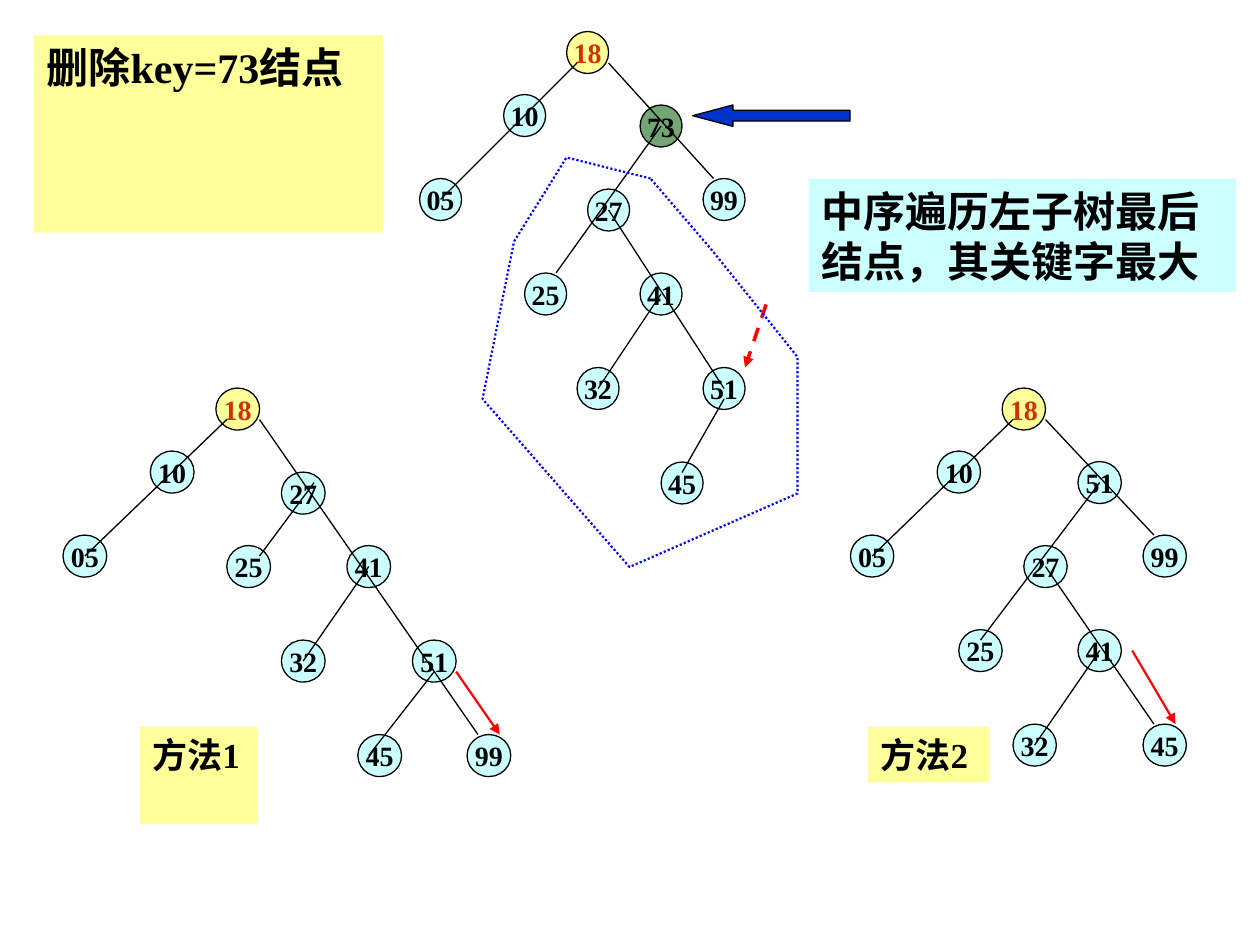
from pptx import Presentation
from pptx.dml.color import RGBColor
from pptx.enum.dml import MSO_LINE
from pptx.enum.shapes import MSO_CONNECTOR, MSO_SHAPE
from pptx.enum.text import MSO_ANCHOR, MSO_AUTO_SIZE, PP_ALIGN
from pptx.oxml.ns import qn
from pptx.util import Inches, Pt
from lxml.etree import SubElement

COLORS = {
    "black": "000000", "root_text": "CC3300", "yellow": "FFFF99", "cyan": "CCFFFF",
    "deleted": "74A574", "pointer": "0033CC", "red": "FF0000", "outline": "0000FF",
}
FONT = "Times New Roman"
ROW = Inches(1) / 12
NODE_CELLS = 4

BEFORE = {
    "nodes": {"18": (14, 0), "10": (8, 6), "05": (0, 14), "73": (21, 7), "27": (16, 15),
              "25": (10, 23), "99": (27, 14), "41": (21, 23), "32": (15, 32),
              "51": (27, 32), "45": (23, 41)},
    "edges": [((15, 3), (2, 16)), ((18, 3), (28, 14)), ((23, 9), (13, 23)),
              ((18, 17), (29, 34)), ((23, 25), (17, 34)), ((29, 35), (25, 42))],
    "arrow": ((33, 26), (31, 32)),
}
METHOD_1 = {
    "nodes": {"18": (14, 0), "10": (8, 6), "05": (0, 14), "27": (20, 8), "25": (15, 15),
              "99": (37, 33), "41": (26, 15), "32": (20, 24), "51": (32, 24),
              "45": (27, 33)},
    "edges": [((15, 3), (2, 16)), ((23, 9), (18, 16)), ((18, 3), (38, 33)),
              ((28, 17), (22, 26)), ((34, 27), (28, 35))],
    "arrow": ((36, 27), (40, 33)),
}
METHOD_2 = {
    "nodes": {"18": (14, 0), "10": (8, 6), "05": (0, 14), "27": (16, 15), "25": (10, 23),
              "99": (27, 14), "41": (21, 23), "32": (15, 32), "51": (21, 7),
              "45": (27, 32)},
    "edges": [((15, 3), (2, 16)), ((18, 3), (28, 14)), ((23, 9), (12, 24)),
              ((18, 17), (28, 32)), ((23, 25), (17, 34))],
    "arrow": ((26, 25), (30, 32)),
}
LEFT_SUBTREE = [(22, 14), (14, 12), (9, 20), (6, 35), (20, 51), (36, 44), (36, 31), (28, 21)]


def rgb(name):
    """Return the named colour."""
    return RGBColor.from_string(COLORS[name])


def paint(shape, fill):
    """Give a shape a plain fill and a thin black line."""
    shape.shadow.inherit = False
    shape.fill.solid()
    shape.fill.fore_color.rgb = rgb(fill)
    shape.line.color.rgb = rgb("black")
    shape.line.width = Pt(0.75)


def write(shape, text, size, color="black", align=PP_ALIGN.LEFT):
    """Set bold text in a shape."""
    shape.text_frame.text = text
    paragraph = shape.text_frame.paragraphs[0]
    paragraph.alignment = align
    font = paragraph.runs[0].font
    font.name, font.size, font.bold = FONT, Pt(size), True
    font.color.rgb = rgb(color)


def grid(left, top, column):
    """Return a function that turns grid cells into slide positions."""
    return lambda cell: (round(left + cell[0] * column), round(top + cell[1] * ROW))


def add_line(shapes, start, end, color="black", width=0.75, head=False):
    """Draw a straight line, with an arrowhead if asked."""
    connector = shapes.add_connector(MSO_CONNECTOR.STRAIGHT, *start, *end)
    connector.line.color.rgb = rgb(color)
    connector.line.width = Pt(width)
    if head:
        SubElement(connector.line._get_or_add_ln(), qn("a:tailEnd"), type="triangle")
    SubElement(connector._element.spPr, qn("a:effectLst"))
    return connector


def add_node(shapes, key, position, column):
    """Draw one key of a tree."""
    node = shapes.add_shape(MSO_SHAPE.OVAL, *position,
                            round(NODE_CELLS * column), round(NODE_CELLS * ROW))
    paint(node, {"18": "yellow", "73": "deleted"}.get(key, "cyan"))
    node.text_frame.word_wrap = False
    node.text_frame.vertical_anchor = MSO_ANCHOR.MIDDLE
    write(node, key, 16, "root_text" if key == "18" else "black", PP_ALIGN.CENTER)


def add_tree(shapes, tree, left, top, column, arrow_width=1.25):
    """Draw a tree on its grid and return its red arrow."""
    place = grid(left, top, column)
    for key, cell in tree["nodes"].items():
        add_node(shapes, key, place(cell), column)
    for start, end in tree["edges"]:
        add_line(shapes, place(start), place(end))
    start, end = tree["arrow"]
    return add_line(shapes, place(start), place(end), "red", arrow_width, True)


def fill_label(label, text, box, fill, size, wrap=True):
    """Place and format a filled label in its box."""
    label.left, label.top, label.width, label.height = box
    label.fill.solid()
    label.fill.fore_color.rgb = rgb(fill)
    frame = label.text_frame
    frame.word_wrap = wrap
    frame.auto_size = MSO_AUTO_SIZE.SHAPE_TO_FIT_TEXT
    frame.vertical_anchor = MSO_ANCHOR.TOP
    write(label, text, size)


def add_label(shapes, text, box, fill, size, wrap=True):
    """Add a filled label."""
    fill_label(shapes.add_textbox(*box), text, box, fill, size, wrap)


def add_before(shapes, left, top):
    """Draw the tree before deletion with its pointers and left subtree."""
    arrow = add_tree(shapes, BEFORE, left, top, ROW, 2)
    arrow.line.dash_style = MSO_LINE.DASH

    pointer = shapes.add_shape(MSO_SHAPE.LEFT_ARROW, *grid(left, top, ROW)((26, 7)),
                               Inches(1.25), Inches(0.17))
    pointer.adjustments[1] = 1.88
    paint(pointer, "pointer")

    first, *others = map(grid(left, top, ROW), LEFT_SUBTREE)
    builder = shapes.build_freeform(*first)
    builder.add_line_segments(others, close=True)
    outline = builder.convert_to_shape()
    outline.shadow.inherit = False
    outline.fill.background()
    outline.line.color.rgb = rgb("outline")
    outline.line.width = Pt(1.25)
    outline.line.dash_style = MSO_LINE.ROUND_DOT


def add_method(shapes, tree, box, column, label, label_box, wrap):
    """Draw the result of one method as a group with its label."""
    group = shapes.add_group_shape()
    add_tree(group.shapes, tree, *box, column)
    add_label(group.shapes, label, label_box, "yellow", 20, wrap)


def main():
    """Build the slide."""
    presentation = Presentation()
    presentation.slide_width, presentation.slide_height = Inches(10), Inches(7.5)
    slide = presentation.slides.add_slide(presentation.slide_layouts[5])
    shapes = slide.shapes
    fill_label(shapes.title, "删除key=73结点",
               (Inches(0.27), Inches(0.28), Inches(2.77), Inches(0.5)), "yellow", 24)
    add_before(shapes, Inches(3.33), Inches(0.25))
    add_label(shapes, "中序遍历左子树最后结点，其关键字最大",
              (Inches(6.42), Inches(1.42), Inches(3.39), Inches(0.9)), "cyan", 24)
    add_method(shapes, METHOD_1, (Inches(0.5), Inches(3.08)), Inches(2.6) / 30, "方法1",
               (Inches(1.11), Inches(5.77), Inches(0.93), Inches(0.77)), True)
    add_method(shapes, METHOD_2, (Inches(6.75), Inches(3.08)), Inches(2.58) / 30, "方法2",
               (Inches(6.89), Inches(5.77), Inches(0.96), Inches(0.44)), False)
    presentation.save("out.pptx")


if __name__ == "__main__":
    main()
